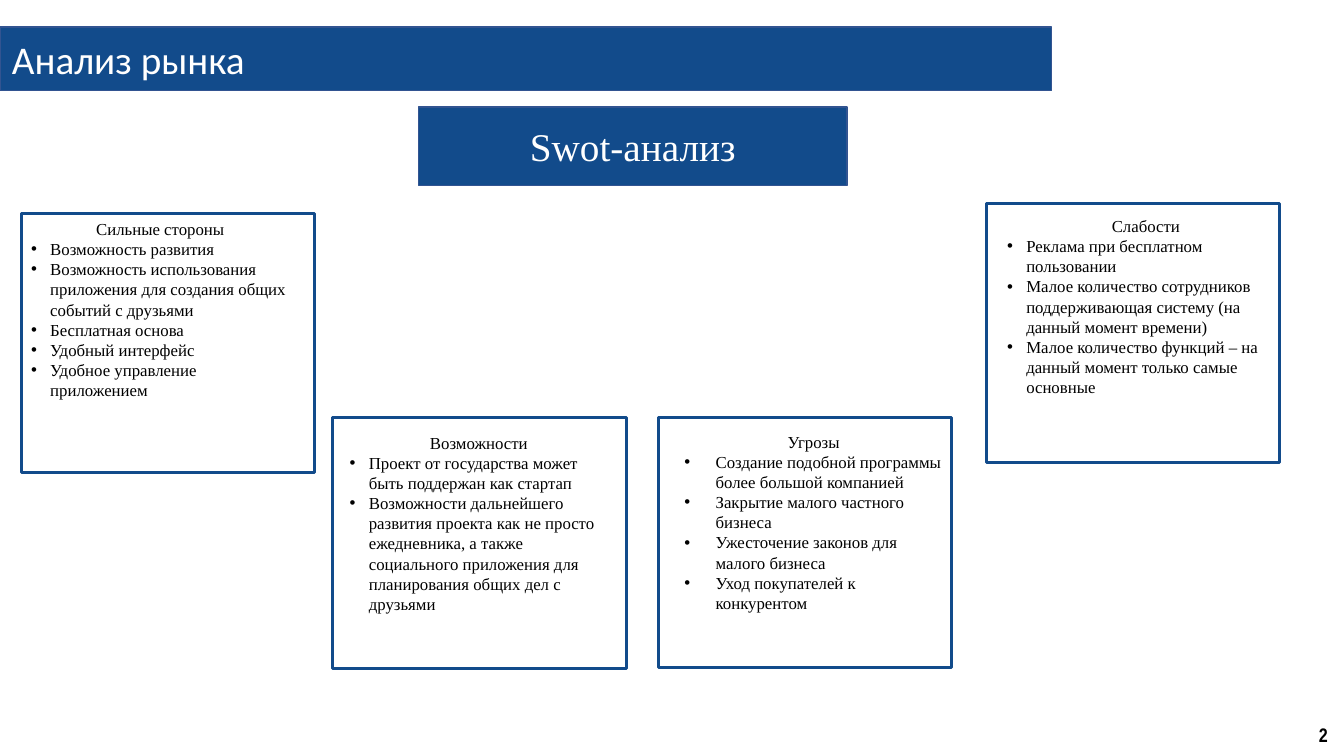
import lxml.etree
import pptx
import pptx.dml.color
import pptx.enum.shapes
import pptx.enum.text
import pptx.oxml.ns
import pptx.util

Inches = pptx.util.Inches
Pt = pptx.util.Pt
Align = pptx.enum.text.PP_ALIGN
Anchor = pptx.enum.text.MSO_ANCHOR

BLUE = pptx.dml.color.RGBColor(0x12, 0x4B, 0x8B)
EDGE = pptx.dml.color.RGBColor(0x32, 0x54, 0x91)
WHITE = pptx.dml.color.RGBColor(0xFF, 0xFF, 0xFF)
BLACK = pptx.dml.color.RGBColor(0x00, 0x00, 0x00)

HEADING = {"name": "Calibri", "size": Pt(28)}
BANNER = {"name": "Times New Roman", "size": Pt(28)}
BODY = {"name": "Times New Roman", "size": Pt(12)}
NUMBER = {"name": "Arial Narrow", "size": Pt(14), "bold": True}

QUADRANTS = [
    {
        "box": (0.21, 2.12, 2.91, 2.57),
        "text_box": (0, 0, 2.76, 2.12),
        "indent": 0.19,
        "title": "Сильные стороны",
        "points": [
            "Возможность развития",
            "Возможность использования приложения для создания общих событий с друзьями",
            "Бесплатная основа",
            "Удобный интерфейс",
            "Удобное управление приложением",
        ],
    },
    {
        "box": (9.78, 2.02, 2.91, 2.57),
        "text_box": (0.11, 0.07, 2.95, 2.12),
        "indent": 0.19,
        "title": "Слабости",
        "points": [
            "Реклама при бесплатном пользовании",
            "Малое количество сотрудников поддерживающая систему (на данный момент времени)",
            "Малое количество функций – на данный момент только самые основные",
        ],
    },
    {
        "box": (3.3, 4.14, 2.91, 2.49),
        "text_box": (0.07, 0.1, 2.76, 1.92),
        "indent": 0.19,
        "title": "Возможности",
        "points": [
            "Проект от государства может быть поддержан как стартап",
            "Возможности дальнейшего развития проекта как не просто ежедневника, "
            "а также социального приложения для планирования общих дел с друзьями",
        ],
    },
    {
        "box": (6.53, 4.14, 2.91, 2.48),
        "text_box": (0.16, 0.09, 2.76, 2.12),
        "indent": 0.31,
        "title": "Угрозы",
        "points": [
            "Создание подобной программы более большой компанией",
            "Закрытие малого частного бизнеса",
            "Ужесточение законов для малого бизнеса",
            "Уход покупателей к конкурентом",
        ],
    },
]


def add_panel(slide, box, fill, edge=None, edge_width=1):
    panel = slide.shapes.add_shape(
        pptx.enum.shapes.MSO_SHAPE.RECTANGLE, *map(Inches, box)
    )
    panel.shadow.inherit = False
    panel.fill.solid()
    panel.fill.fore_color.rgb = fill
    if edge is None:
        panel.line.fill.background()
    else:
        panel.line.color.rgb = edge
        panel.line.width = Pt(edge_width)
    return panel


def add_text_frame(slide, box):
    frame = slide.shapes.add_textbox(*map(Inches, box)).text_frame
    frame.word_wrap = True
    return frame


def write(paragraph, wording, font, color, align=Align.LEFT):
    paragraph.alignment = align
    run = paragraph.add_run()
    run.text = wording
    for attribute, value in font.items():
        setattr(run.font, attribute, value)
    run.font.color.rgb = color


def add_bullet(paragraph, indent):
    properties = paragraph._p.get_or_add_pPr()
    properties.set("marL", str(Inches(indent)))
    properties.set("indent", str(-Inches(indent)))
    for tag, key, value in (("a:buFont", "typeface", "Arial"), ("a:buChar", "char", "•")):
        lxml.etree.SubElement(properties, pptx.oxml.ns.qn(tag)).set(key, value)


def add_heading(slide, box, wording):
    left, top, width, height = box
    add_panel(slide, box, BLUE, EDGE)
    frame = add_text_frame(slide, (left + 0.02, top + 0.03, width - 0.02, height - 0.06))
    write(frame.paragraphs[0], wording, HEADING, WHITE)


def add_label(slide, box, wording, font, color, fill, edge=None):
    frame = add_panel(slide, box, fill, edge).text_frame
    frame.vertical_anchor = Anchor.MIDDLE
    write(frame.paragraphs[0], wording, font, color, Align.CENTER)


def add_quadrant(slide, box, text_box, indent, title, points):
    add_panel(slide, box, WHITE, BLUE, 2.25)
    dx, dy, width, height = text_box
    frame = add_text_frame(slide, (box[0] + dx, box[1] + dy, width, height))
    write(frame.paragraphs[0], title, BODY, BLACK, Align.CENTER)
    for point in points:
        paragraph = frame.add_paragraph()
        write(paragraph, point, BODY, BLACK)
        add_bullet(paragraph, indent)


def main():
    presentation = pptx.Presentation()
    presentation.slide_width = Inches(13.33)
    presentation.slide_height = Inches(7.5)
    slide = presentation.slides.add_slide(presentation.slide_layouts[6])
    add_heading(slide, (0, 0.27, 10.43, 0.63), "Анализ рынка")
    add_label(slide, (12.93, 7.09, 0.39, 0.4), "2", NUMBER, BLACK, WHITE)
    add_label(slide, (4.15, 1.06, 4.25, 0.78), "Swot-анализ", BANNER, WHITE, BLUE, EDGE)
    for quadrant in QUADRANTS:
        add_quadrant(slide, **quadrant)
    presentation.save("out.pptx")


if __name__ == "__main__":
    main()
